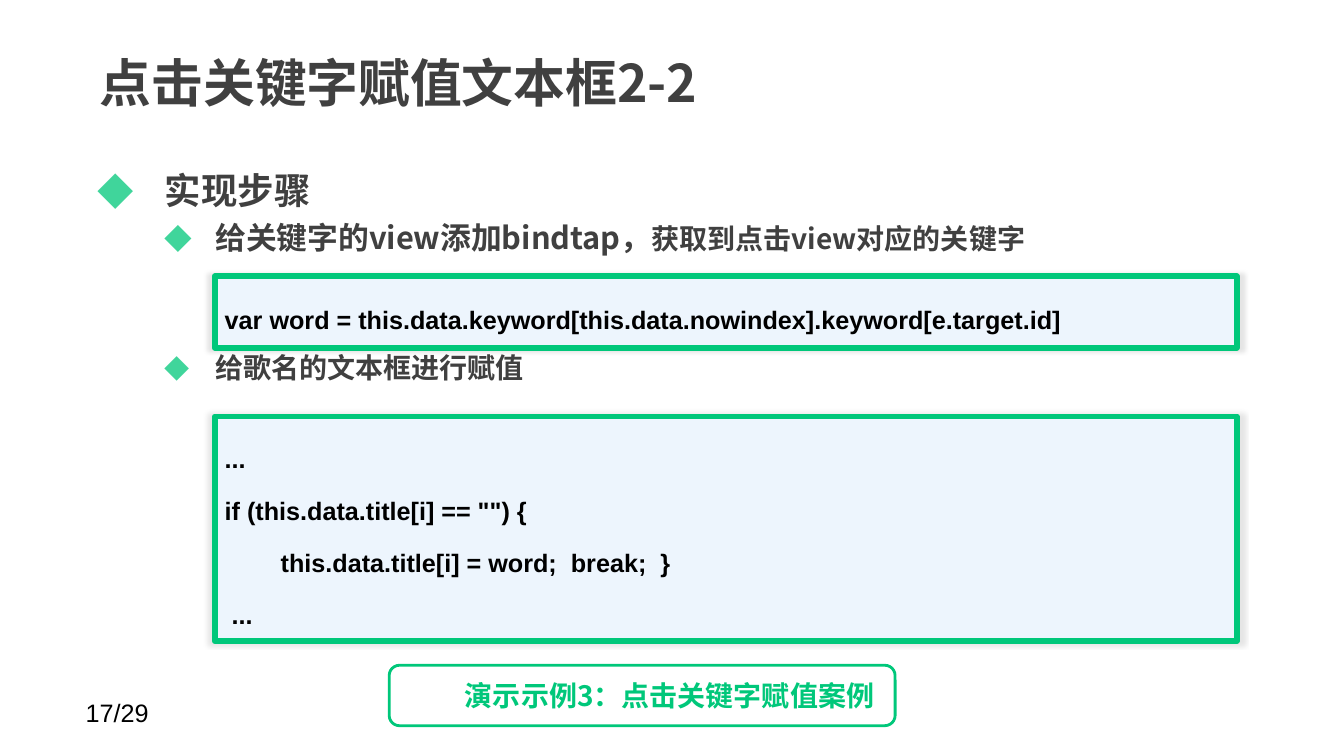
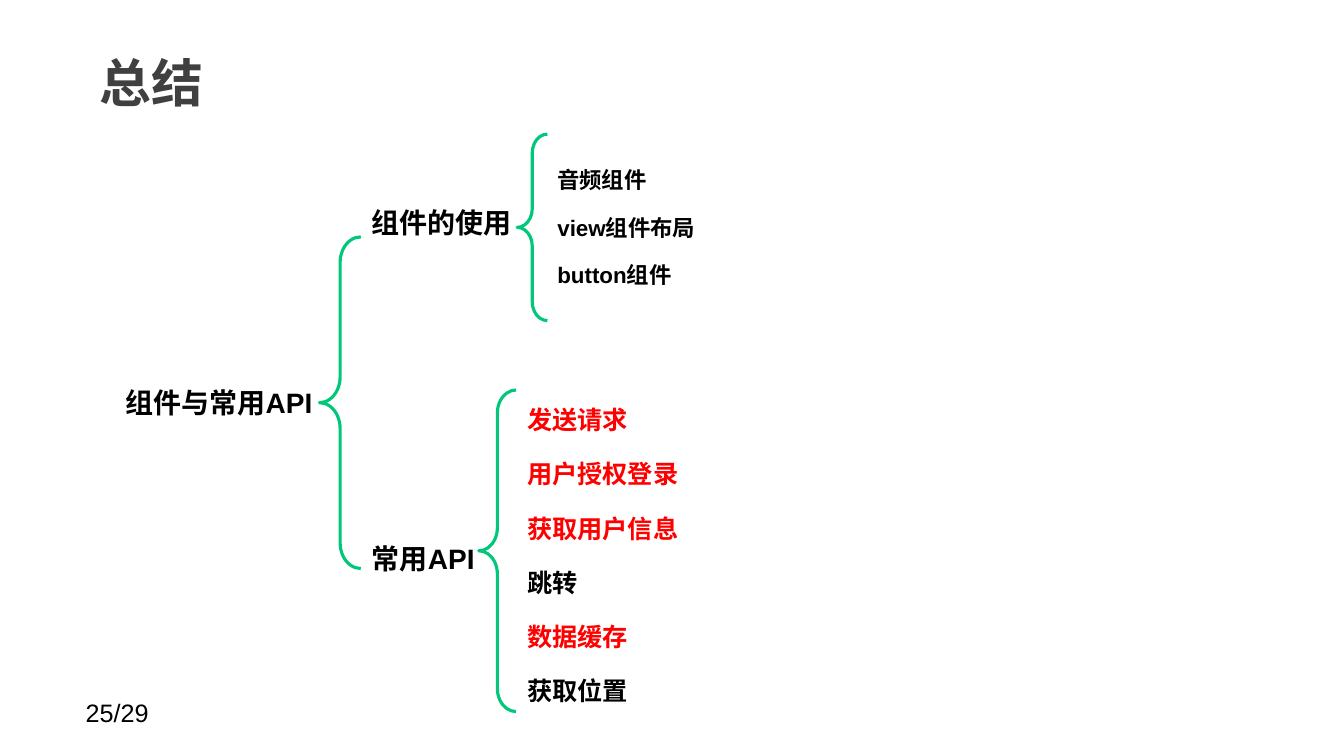
from lxml import etree
from pptx import Presentation
from pptx.dml.color import RGBColor
from pptx.enum.shapes import MSO_SHAPE
from pptx.enum.text import MSO_ANCHOR, PP_ALIGN
from pptx.oxml.ns import qn
from pptx.util import Pt

ROUNDED = MSO_SHAPE.ROUNDED_RECTANGLE
BRACE = MSO_SHAPE.LEFT_BRACE
TOP, MIDDLE = MSO_ANCHOR.TOP, MSO_ANCHOR.MIDDLE
LEFT, CENTER = PP_ALIGN.LEFT, PP_ALIGN.CENTER

GREEN = RGBColor(0x00, 0xC7, 0x7A)
BULLET_GREEN = RGBColor(0x40, 0xD5, 0x9B)
PALE_BLUE = RGBColor(0xED, 0xF5, 0xFD)
GREY = RGBColor(0x40, 0x40, 0x40)
BLACK = RGBColor(0x00, 0x00, 0x00)
RED = RGBColor(0xFF, 0x00, 0x00)

LATIN = "Arial"
CJK = "Noto Sans CJK SC"
PAGE_COUNT = 29


def add_run(paragraph, text, size, color=BLACK, font=LATIN, bold=True):
    run = paragraph.add_run()
    run.text = text
    run.font.size = Pt(size)
    run.font.bold = bold
    run.font.color.rgb = color
    run.font.name = font
    east_asian = etree.SubElement(run._r.get_or_add_rPr(), qn("a:ea"))
    east_asian.set("typeface", CJK)


def prepare_frame(shape, anchor=MIDDLE, inset=(7.2, 3.6, 7.2, 3.6), wrap=True):
    frame = shape.text_frame
    frame.word_wrap = wrap
    frame.vertical_anchor = anchor
    frame.margin_left, frame.margin_top, frame.margin_right, frame.margin_bottom = map(Pt, inset)
    return frame


def add_frame(slide, box, **options):
    return prepare_frame(slide.shapes.add_textbox(*map(Pt, box)), **options)


def next_paragraph(frame, index):
    return frame.add_paragraph() if index else frame.paragraphs[0]


def set_indent(paragraph, left, first=0):
    properties = paragraph._p.get_or_add_pPr()
    properties.set("marL", str(Pt(left)))
    properties.set("indent", str(Pt(first)))
    return properties


def add_bullet(paragraph, left, hanging, percent):
    properties = set_indent(paragraph, left, -hanging)
    color = etree.SubElement(properties, qn("a:buClr"))
    etree.SubElement(color, qn("a:srgbClr")).set("val", str(BULLET_GREEN))
    etree.SubElement(properties, qn("a:buSzPct")).set("val", str(percent * 1000))
    etree.SubElement(properties, qn("a:buFont")).set("typeface", CJK)
    etree.SubElement(properties, qn("a:buChar")).set("char", "◆")


def add_outline_shape(slide, kind, box, corner, weight, fill=None):
    shape = slide.shapes.add_shape(kind, *map(Pt, box))
    shape.adjustments[0] = corner
    shape.shadow.inherit = False
    shape.line.color.rgb = GREEN
    shape.line.width = Pt(weight)
    if fill is None:
        shape.fill.background()
    else:
        shape.fill.solid()
        shape.fill.fore_color.rgb = fill
    return shape


def add_halo(shape):
    effects = shape._element.spPr.find(qn("a:effectLst"))
    halo = etree.SubElement(effects, qn("a:outerShdw"))
    for key, value in (("blurRad", Pt(3)), ("sx", 101000), ("sy", 101000), ("algn", "ctr")):
        halo.set(key, str(value))
    color = etree.SubElement(halo, qn("a:srgbClr"))
    color.set("val", str(BLACK))
    etree.SubElement(color, qn("a:alpha")).set("val", "10000")


def add_page(deck, title, number):
    slide = deck.slides.add_slide(deck.slide_layouts[6])
    page = add_frame(slide, (54, 494.6, 168, 28.8), anchor=TOP)
    add_run(page.paragraphs[0], f"{number}/{PAGE_COUNT}", 18, bold=False)
    heading = add_frame(slide, (62, 21.6, 749.5, 74), inset=(9.36, 4.32, 9.36, 4.32))
    add_run(heading.paragraphs[0], title, 37, GREY, CJK)
    return slide


def add_steps(slide, steps):
    frame = add_frame(slide, (60.5, 103, 841.7, 379.4), anchor=TOP,
                      inset=(9.36, 4.32, 9.36, 4.32))
    for index, (level, gap, runs) in enumerate(steps):
        paragraph = next_paragraph(frame, index)
        paragraph.level = level
        paragraph.line_spacing = 1.2 if level else 1.4
        paragraph.space_before = Pt(gap)
        if level:
            add_bullet(paragraph, 84, 36, 90)
        else:
            add_bullet(paragraph, 48, 48, 100)
        for text, size in runs:
            add_run(paragraph, text, size, GREY, CJK)


def add_code(slide, top, height, lines):
    panel = add_outline_shape(slide, ROUNDED, (153.4, top, 730, height), 0, 4, PALE_BLUE)
    add_halo(panel)
    frame = prepare_frame(panel)
    for index, (indent, text) in enumerate(lines):
        paragraph = next_paragraph(frame, index)
        paragraph.alignment = LEFT
        paragraph.line_spacing = 1.5
        paragraph.space_before = Pt(4.8 if index else 0)
        set_indent(paragraph, indent)
        add_run(paragraph, text, 18)


def add_demo_label(slide, text):
    label = add_outline_shape(slide, ROUNDED, (278, 475.2, 361.4, 43.2), 0.17, 2)
    frame = prepare_frame(label, inset=(52, 3.6, 0, 3.6))
    frame.paragraphs[0].alignment = LEFT
    add_run(frame.paragraphs[0], text, 20, GREEN, CJK)


def add_topic(slide, left, middle, width, text, align=LEFT):
    height = 32
    frame = add_frame(slide, (left, middle - height / 2, width, height))
    frame.paragraphs[0].alignment = align
    add_run(frame.paragraphs[0], text, 20)


def add_brace(slide, box):
    add_outline_shape(slide, BRACE, box, 0.62, 2.25)


def add_branch(slide, box, size, gap, items, font):
    frame = add_frame(slide, box, wrap=False)
    for index, (text, color) in enumerate(items):
        paragraph = next_paragraph(frame, index)
        paragraph.space_before = Pt(gap if index else 0)
        add_run(paragraph, text, size, color, font)


def build_keyword_slide(deck):
    slide = add_page(deck, "点击关键字赋值文本框2-2", 17)
    add_steps(slide, [
        (0, 7.5, [("实现步骤", 26)]),
        (1, 0, [("给关键字的view添加bindtap，", 22), ("获取到点击view对应的关键字", 20)]),
        (1, 63.2, [("给歌名的文本框进行赋值", 20)]),
    ])
    add_code(slide, 197.3, 51.1, [
        (0, "var word = this.data.keyword[this.data.nowindex].keyword[e.target.id]"),
    ])
    add_code(slide, 297.4, 160.6, [
        (0, "..."),
        (0, 'if (this.data.title[i] == "") {'),
        (40, "this.data.title[i] = word;  break;  }"),
        (5, "..."),
    ])
    add_demo_label(slide, "演示示例3：点击关键字赋值案例")


def build_summary_slide(deck):
    slide = add_page(deck, "总结", 25)
    add_topic(slide, 63.4, 287.3, 185.8, "组件与常用API", CENTER)
    add_topic(slide, 258.5, 158.6, 120, "组件的使用")
    add_topic(slide, 258.5, 398.6, 120, "常用API")
    add_brace(slide, (228.2, 169.2, 29.5, 236.9))
    add_brace(slide, (369.4, 95.8, 21.6, 133.2))
    add_brace(slide, (342, 278.6, 26.6, 229.7))
    add_branch(slide, (391, 110, 373.7, 104.4), 16, 15, [
        ("音频组件", BLACK),
        ("view组件布局", BLACK),
        ("button组件", BLACK),
    ], LATIN)
    add_branch(slide, (369.4, 273, 122.4, 247), 18, 17.1, [
        ("发送请求", RED),
        ("用户授权登录", RED),
        ("获取用户信息", RED),
        ("跳转", BLACK),
        ("数据缓存", RED),
        ("获取位置", BLACK),
    ], CJK)


def main():
    deck = Presentation()
    deck.slide_width, deck.slide_height = Pt(960), Pt(540)
    build_keyword_slide(deck)
    build_summary_slide(deck)
    deck.save("out.pptx")


if __name__ == "__main__":
    main()
